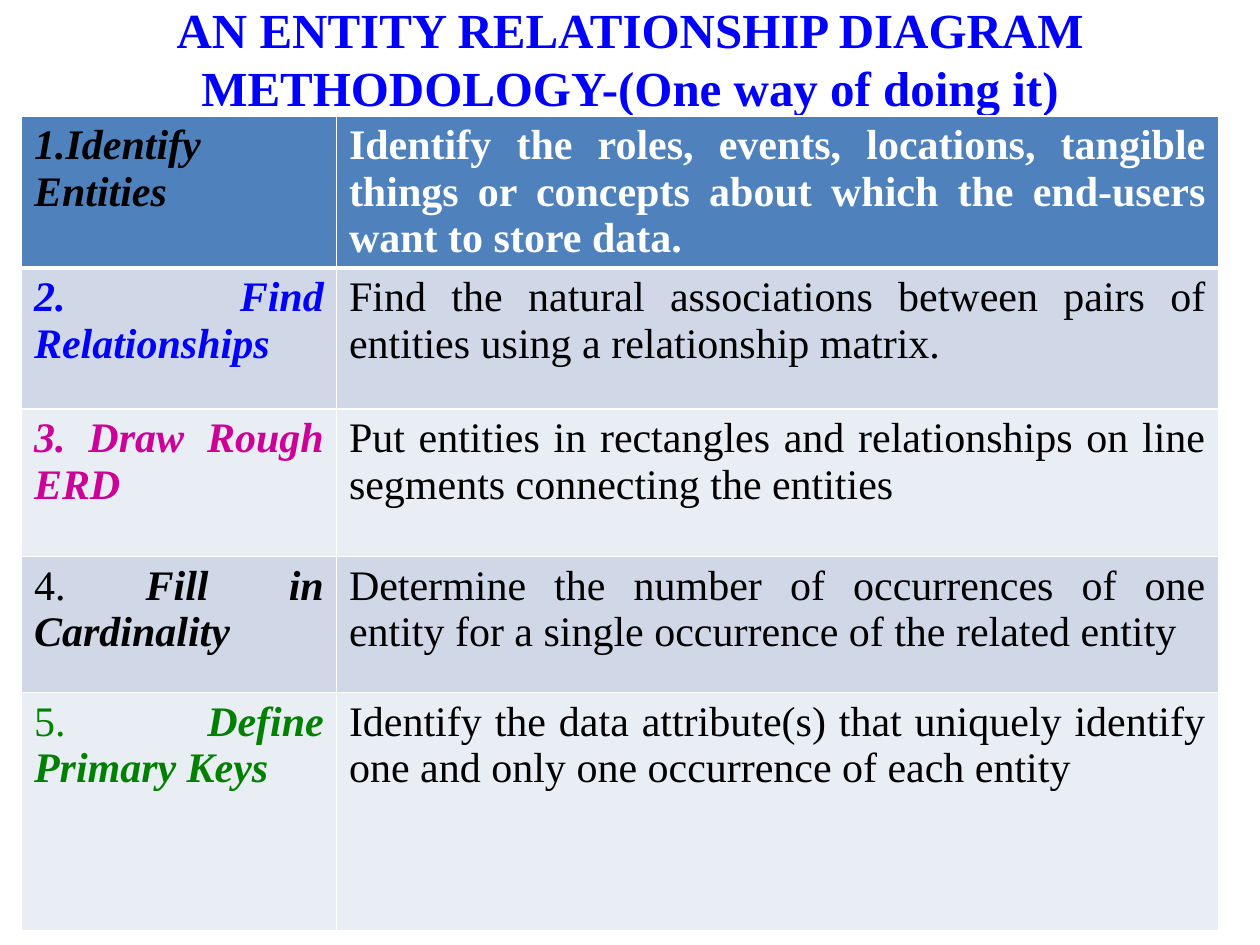
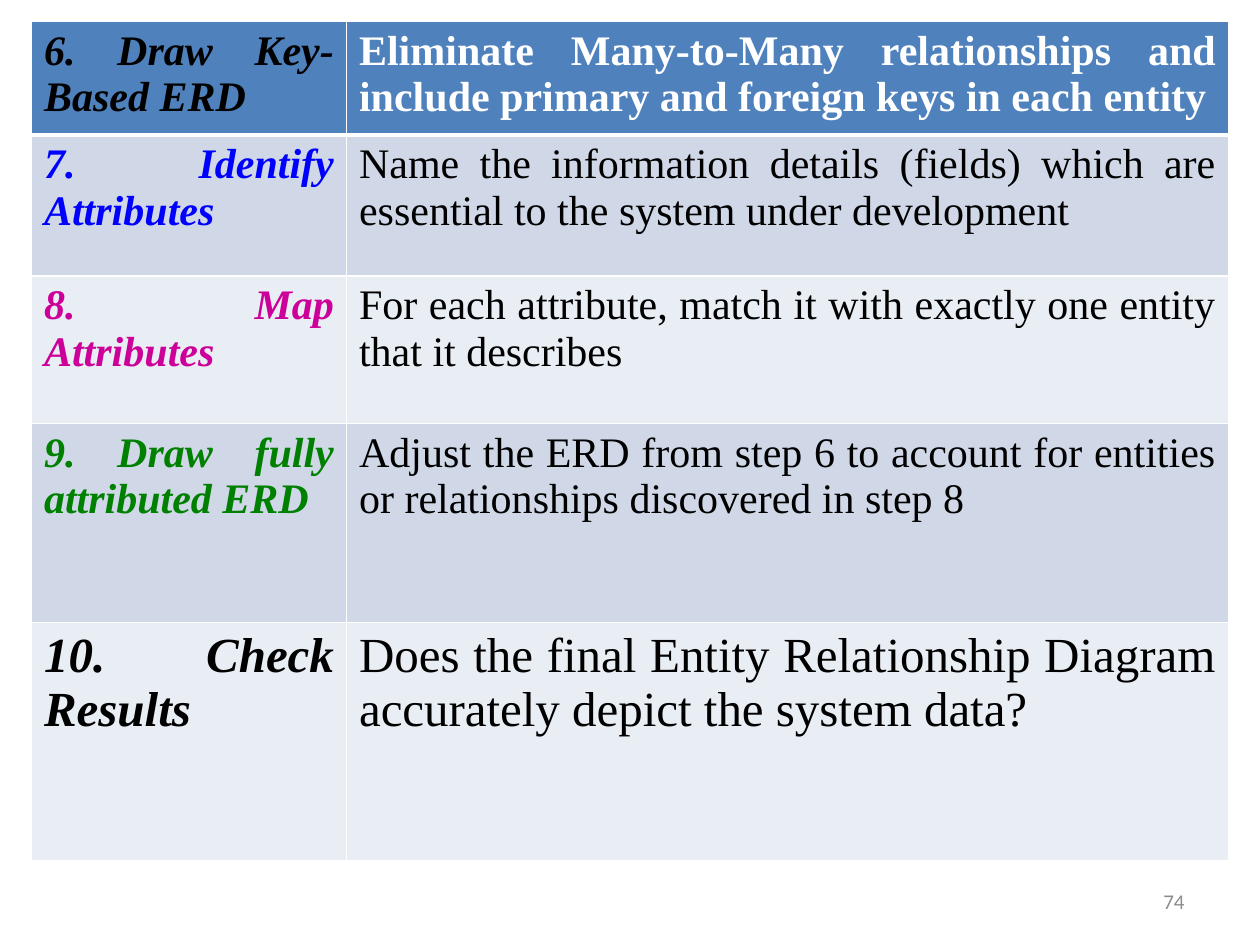
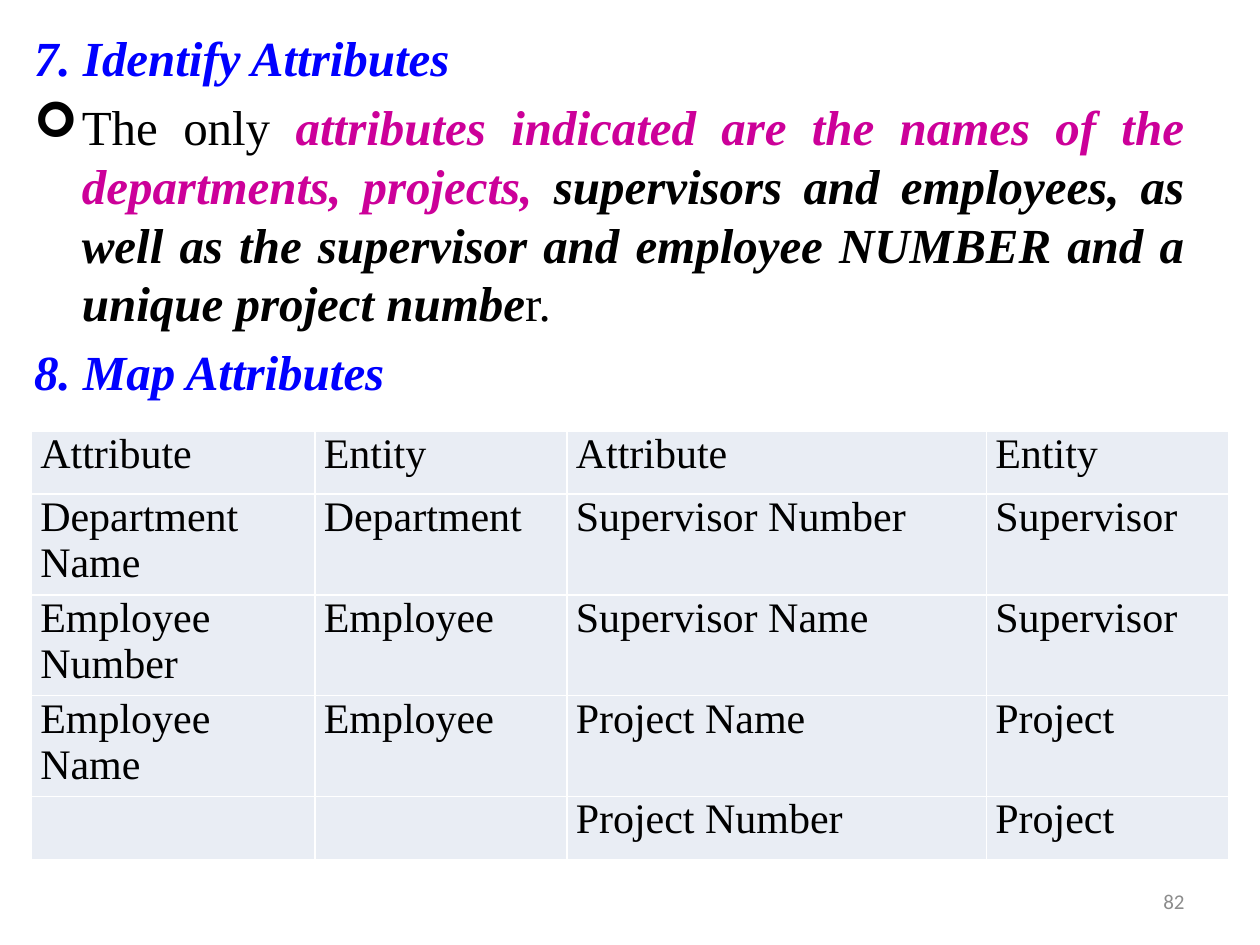
from lxml import etree
from pptx import Presentation
from pptx.dml.color import RGBColor
from pptx.enum.text import MSO_ANCHOR, PP_ALIGN
from pptx.oxml.ns import qn
from pptx.util import Inches, Pt

WHITE = RGBColor(0xFF, 0xFF, 0xFF)
BLACK = RGBColor(0x00, 0x00, 0x00)
BLUE = RGBColor(0x00, 0x00, 0xFF)
MAGENTA = RGBColor(0xCC, 0x00, 0x99)
GREEN = RGBColor(0x00, 0x80, 0x00)
GRAY = RGBColor(0x8C, 0x8C, 0x8C)
HEADER_FILL = RGBColor(0x4F, 0x81, 0xBD)
DARK_BAND = RGBColor(0xD0, 0xD8, 0xE8)
LIGHT_BAND = RGBColor(0xE9, 0xED, 0xF4)

TITLE_ONLY, BLANK, TITLE_AND_BODY = 5, 6, 1
LEFT, JUSTIFY = PP_ALIGN.LEFT, PP_ALIGN.JUSTIFY
STEP_COLORS = [BLACK, BLUE, MAGENTA, BLACK, GREEN]


class Deck:
    font = "Times New Roman"
    text_size, large_size = 24, 28

    def __init__(self):
        self.prs = Presentation()
        self.prs.slide_width, self.prs.slide_height = Inches(10), Inches(7.5)
        self.s = None

    def new_slide(self, layout):
        self.s = self.prs.slides.add_slide(self.prs.slide_layouts[layout])

    def run(self, p, text, size, color=BLACK, bold=False, italic=False, font=None):
        r = p.add_run()
        r.text = text
        f = r.font
        f.name, f.size, f.bold, f.italic = font or self.font, Pt(size), bold, italic
        f.color.rgb = color

    def place(self, sp, left, top, width, height):
        sp.left, sp.top = Inches(left), Inches(top)
        sp.width, sp.height = Inches(width), Inches(height)

    def title(self, text):
        sp = self.s.shapes.title
        self.place(sp, 0.5, 0, 9, 0.92)
        tf = sp.text_frame
        tf.vertical_anchor = MSO_ANCHOR.MIDDLE
        p = tf.paragraphs[0]
        p.alignment = PP_ALIGN.CENTER
        self.run(p, text, self.large_size, BLUE, bold=True)

    def body(self, paragraphs):
        """Fill the body placeholder from (bullet, runs) pairs."""
        title = self.s.shapes.title
        title._element.getparent().remove(title._element)
        sp = self.s.placeholders[1]
        self.place(sp, 0.17, 0.17, 9.33, 7.08)
        tf = sp.text_frame
        for i, (bullet, runs) in enumerate(paragraphs):
            p = tf.add_paragraph() if i else tf.paragraphs[0]
            p.alignment = JUSTIFY
            self.bullet(p, bullet)
            for text, *style in runs:
                self.run(p, text, self.large_size, *style)

    def bullet(self, p, char):
        pPr = p._p.get_or_add_pPr()
        indent = Inches(0.38) if char else 0
        pPr.set("marL", str(indent))
        pPr.set("indent", str(-indent))
        if char:
            etree.SubElement(pPr, qn("a:buFont"), typeface="Wingdings")
            etree.SubElement(pPr, qn("a:buChar"), char=char)
        else:
            etree.SubElement(pPr, qn("a:buNone"))

    def page_number(self, number):
        sp = self.s.shapes.add_textbox(Inches(7.17), Inches(6.95), Inches(2.33), Inches(0.4))
        tf = sp.text_frame
        tf.word_wrap = True
        tf.vertical_anchor = MSO_ANCHOR.MIDDLE
        p = tf.paragraphs[0]
        p.alignment = PP_ALIGN.RIGHT
        self.run(p, str(number), 12, GRAY, font="Calibri")

    def table(self, left, top, col_widths, row_heights):
        frame = self.s.shapes.add_table(
            len(row_heights), len(col_widths), Inches(left), Inches(top),
            Inches(sum(col_widths)), Inches(sum(row_heights)))
        table = frame.table
        for col, width in zip(table.columns, col_widths):
            col.width = Inches(width)
        for row, height in zip(table.rows, row_heights):
            row.height = Inches(height)
        return table

    def cell(self, cell, fill, runs, align=LEFT, size=text_size, top=1, bottom=1):
        """Style a cell; top and bottom are border widths in points."""
        tcPr = cell._tc.get_or_add_tcPr()
        for side, width in (("L", 1), ("R", 1), ("T", top), ("B", bottom)):
            ln = etree.SubElement(tcPr, qn(f"a:ln{side}"), w=str(Pt(width)))
            solid = etree.SubElement(ln, qn("a:solidFill"))
            etree.SubElement(solid, qn("a:srgbClr"), val=str(WHITE))
        cell.fill.solid()
        cell.fill.fore_color.rgb = fill
        p = cell.text_frame.paragraphs[0]
        p.alignment = align
        for text, *style in runs:
            self.run(p, text, size, *style)

    def step_table(self, left, top, row_heights, steps, colors, sizes, first_align=JUSTIFY):
        """Table of (number, name, description); a number of None is part of the name."""
        table = self.table(left, top, [2.5, 7], row_heights)
        for i, (number, name, description) in enumerate(steps):
            header = i == 0
            fill = HEADER_FILL if header else DARK_BAND if i % 2 else LIGHT_BAND
            borders = {"top": 3 if i == 1 else 1, "bottom": 3 if header else 1}
            name_runs = [(name, colors[i], True, True)]
            if number:
                name_runs.insert(0, (number, colors[i]))
            self.cell(table.cell(i, 0), fill, name_runs,
                      first_align if header else JUSTIFY, sizes[i], **borders)
            self.cell(table.cell(i, 1), fill,
                      [(description, WHITE if header else BLACK, header)],
                      JUSTIFY, sizes[i], **borders)

    def attribute_table(self, rows):
        table = self.table(0.25, 3.42, [2.25, 2, 3.33, 1.92], [0.5, 0.74, 0.74, 0.74, 0.5])
        for i, row in enumerate(rows):
            for j, text in enumerate(row):
                cell = table.cell(i, j)
                cell.margin_left = cell.margin_right = Inches(0.07)
                cell.margin_top = cell.margin_bottom = 0
                self.cell(cell, LIGHT_BAND, [(text,)] if text else [])


FIRST_STEPS = [
    (None, "1.Identify Entities",
     "Identify the roles, events, locations, tangible things or concepts about which "
     "the end-users want to store data."),
    (None, "2. Find Relationships",
     "Find the natural associations between pairs of entities using a relationship matrix."),
    (None, "3. Draw Rough ERD",
     "Put entities in rectangles and relationships on line segments connecting the entities"),
    ("4. ", "Fill in Cardinality",
     "Determine the number of occurrences of one entity for a single occurrence of the "
     "related entity"),
    ("5. ", "Define Primary Keys",
     "Identify the data attribute(s) that uniquely identify one and only one occurrence "
     "of each entity"),
]
LAST_STEPS = [
    (None, "6. Draw Key-Based ERD",
     "Eliminate Many-to-Many relationships and include primary and foreign keys in each entity"),
    (None, "7. Identify Attributes",
     "Name the information details (fields) which are essential to the system under development"),
    (None, "8. Map Attributes",
     "For each attribute, match it with exactly one entity that it describes"),
    (None, "9. Draw fully attributed ERD",
     "Adjust the ERD from step 6 to account for entities or relationships discovered in step 8"),
    (None, "10. Check Results",
     "Does the final Entity Relationship Diagram accurately depict the system data?"),
]
ATTRIBUTE_NOTES = [
    (None, [("7. Identify Attributes", BLUE, True, True)]),
    ("➢", [
        ("The only ",),
        ("attributes indicated are the names of the departments, projects, ", MAGENTA, True, True),
        ("supervisors and employees, as well as the supervisor and employee NUMBER and a "
         "unique project numbe", BLACK, True, True),
        ("r.",),
    ]),
    (None, [("8. Map Attributes", BLUE, True, True)]),
]
ATTRIBUTE_ROWS = [
    ("Attribute", "Entity", "Attribute", "Entity"),
    ("Department Name", "Department", "Supervisor Number", "Supervisor"),
    ("Employee Number", "Employee", "Supervisor Name", "Supervisor"),
    ("Employee Name", "Employee", "Project Name", "Project"),
    ("", "", "Project Number", "Project"),
]


def main():
    deck = Deck()

    deck.new_slide(TITLE_ONLY)
    deck.title("AN ENTITY RELATIONSHIP DIAGRAM METHODOLOGY-(One way of doing it)")
    deck.step_table(0.17, 0.92, [1.2, 1.12, 1.17, 1.08, 1.89], FIRST_STEPS,
                    STEP_COLORS, [deck.text_size] * 5, first_align=LEFT)

    deck.new_slide(BLANK)
    deck.page_number(74)
    deck.step_table(0.25, 0.17, [0.83, 1.12, 1.17, 1.58, 1.89], LAST_STEPS,
                    [BLACK, BLUE, MAGENTA, GREEN, BLACK],
                    [deck.text_size] * 4 + [deck.large_size])

    deck.new_slide(TITLE_AND_BODY)
    deck.body(ATTRIBUTE_NOTES)
    deck.page_number(82)
    deck.attribute_table(ATTRIBUTE_ROWS)

    deck.prs.save("out.pptx")


if __name__ == "__main__":
    main()
